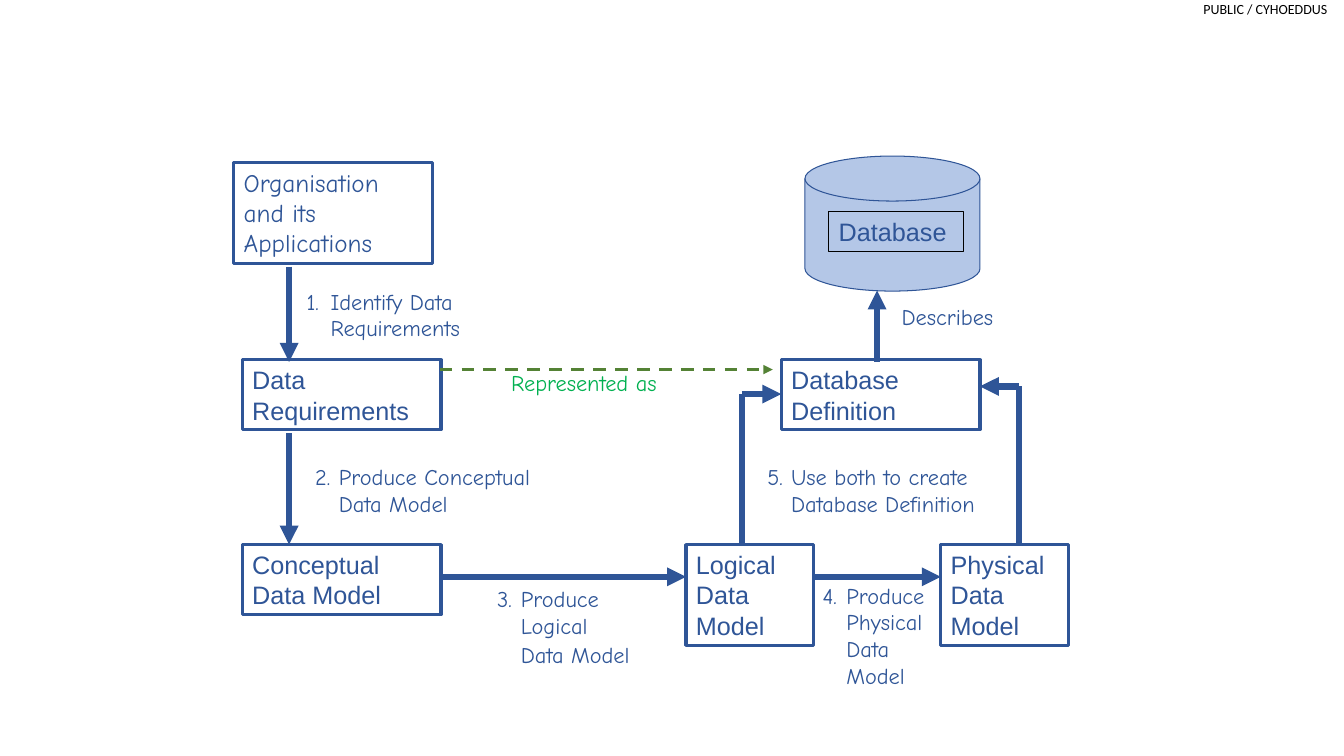
from dataclasses import dataclass

from lxml import etree
from pptx import Presentation
from pptx import util as u
from pptx.dml import color, line as ln
from pptx.enum import dml, shapes, text
from pptx.oxml import ns


@dataclass(frozen=True)
class Theme:
    blue: str = "2F5597"
    pale: str = "B4C7E7"
    black: str = "000000"
    dash: str = "548235"
    green: str = "00B050"
    sans: str = "Arial"
    hand: str = "Comic Neue"
    plain: str = "Calibri"
    big: float = 18
    mid: float = 16
    small: float = 10
    thin: float = 0.75
    edge: float = 2.25
    bold: float = 4.5


T = Theme()
BOX = {"name": T.sans, "size": u.Pt(T.big)}
NOTE = {"name": T.hand, "size": u.Pt(T.mid)}
TAG = {"name": T.plain, "size": u.Pt(T.small)}


def rgb(code):
    return color.RGBColor.from_string(code)


def write(shape, words, look, hue=T.blue, inset=(7.2, 3.6), align=text.PP_ALIGN.LEFT):
    """Fill a shape with one paragraph for each line of words."""
    frame = shape.text_frame
    side, end = map(u.Pt, inset)
    form = {"word_wrap": True, "vertical_anchor": text.MSO_ANCHOR.TOP,
            "margin_left": side, "margin_right": side,
            "margin_top": end, "margin_bottom": end}
    for key, value in form.items():
        setattr(frame, key, value)
    frame.text = words
    for i, para in enumerate(frame.paragraphs):
        para.alignment = align
        if i:
            para.space_before = u.Pt(1.6)
        for key, value in look.items():
            setattr(para.font, key, value)
        para.font.color.rgb = rgb(hue)


def note(slide, area, words, look=NOTE, **form):
    write(slide.shapes.add_textbox(*map(u.Pt, area)), words, look, **form)


def shape(slide, area, kind=shapes.MSO_SHAPE.RECTANGLE, fill=None, hue=T.blue, width=T.edge):
    item = slide.shapes.add_shape(kind, *map(u.Pt, area))
    item.shadow.inherit = False
    if fill:
        item.fill.solid()
        item.fill.fore_color.rgb = rgb(fill)
    else:
        item.fill.background()
    item.line.color.rgb = rgb(hue)
    item.line.width = u.Pt(width)
    return item


def box(slide, area, words, look=BOX, **form):
    write(shape(slide, area, **form), words, look)


def step(slide, area, count, words):
    """Place a numbered caption, its number hanging to the left."""
    x, y, w, h = area
    note(slide, (x - 17, y, 28, 45), f"{count}.")
    note(slide, area, words)


def link(slide, start, end, head=True, hue=T.blue, width=T.bold, dash=None):
    item = slide.shapes.add_connector(
        shapes.MSO_CONNECTOR.STRAIGHT, *map(u.Pt, (*start, *end)))
    pen = ln.LineFormat(item)
    pen.color.rgb = rgb(hue)
    pen.width = u.Pt(width)
    if dash:
        pen.dash_style = dash
    props = item._element.spPr
    if head:
        etree.SubElement(props.find(ns.qn("a:ln")), ns.qn("a:tailEnd"), type="triangle")
    etree.SubElement(props, ns.qn("a:effectLst"))


def label(slide, area):
    note(slide, area, "PUBLIC / CYHOEDDUS", TAG, hue=T.black, inset=(0, 0),
         align=text.PP_ALIGN.RIGHT)


def needs(slide, area):
    """Left column, from the organisation down to the conceptual model."""
    x, y, w, h = area
    left, wide, low = x + 6, w - 6, 50
    mid, base = y + 141, y + h - low
    box(slide, (x, y, wide, 72), "Organisation and its Applications", NOTE | {"size": u.Pt(T.big)})
    box(slide, (left, mid, wide, low), "Data Requirements")
    box(slide, (left, base, wide, low), "Conceptual Data Model")
    stem = x + 39.5
    link(slide, (stem, y + 74.5), (stem, mid + 1.5))
    link(slide, (stem, mid + low + 2.5), (stem, base))
    step(slide, (x + 62, y + 86, 148, 45), 1, "Identify Data Requirements")
    step(slide, (x + 68, y + 211, 164, 65), 2, "Produce Conceptual Data Model")


def models(slide, area):
    """Bottom row, from the conceptual model to the physical one."""
    x, y, w, h = area
    wide, tall = 91, 72
    first, last, rail = x + 176, x + w - wide, y + 23
    box(slide, (first, y, wide, tall), "Logical Data Model")
    box(slide, (last, y, wide, tall), "Physical Data Model")
    link(slide, (x, rail), (first, rail))
    link(slide, (first + wide, rail), (last, rail))
    step(slide, (x + 51, y + 25.5, 113, 66), 3, "Produce Logical\nData Model")
    step(slide, (x + 283.5, rail, 85, 84), 4, "Produce Physical Data Model")


def store(slide, area):
    """Right side, the database above its definition and the two feeds."""
    x, y, w, h = area
    left, mid, wide = x + 28, y + 145.5, 142
    right, base = x + w, y + h
    box(slide, (left, mid, wide, 50), "Database Definition")
    shape(slide, (x + 45, y, 125, 96.5), shapes.MSO_SHAPE.FLOWCHART_MAGNETIC_DISK,
          fill=T.pale, width=T.thin)
    box(slide, (x + 62, y + 39.5, 96, 29), "Database", hue=T.black, width=T.thin)
    link(slide, (x + 96.5, mid + 1.5), (x + 96.5, y + 96))
    note(slide, (x + 107, y + 101.5, 96, 26), "Describes")
    for stem, turn, tip in ((x, mid + 24.5, left), (right, mid + 19, left + wide)):
        link(slide, (stem, base), (stem, turn), head=False)
        link(slide, (stem, turn), (tip, turn))
    step(slide, (left, mid + 70, 164, 65), 5, "Use both to create Database Definition")


def bridge(slide, area):
    """Dashed link from the requirements to the definition."""
    x, y, w, h = area
    link(slide, (x, y + 7), (x + w, y + 7), hue=T.dash, width=T.edge,
         dash=dml.MSO_LINE.DASH)
    note(slide, (x + 44, y + 3, 143, 26), "Represented as", hue=T.green)


def main():
    deck = Presentation()
    deck.slide_width, deck.slide_height = u.Pt(960), u.Pt(540)
    slide = deck.slides.add_slide(deck.slide_layouts[6])
    label(slide, (857, 0, 91, 24))
    needs(slide, (167, 116, 148, 323))
    models(slide, (314, 389, 449, 107))
    store(slide, (530, 111.5, 198, 277.5))
    bridge(slide, (314, 257, 238, 50))
    deck.save("out.pptx")


if __name__ == "__main__":
    main()
